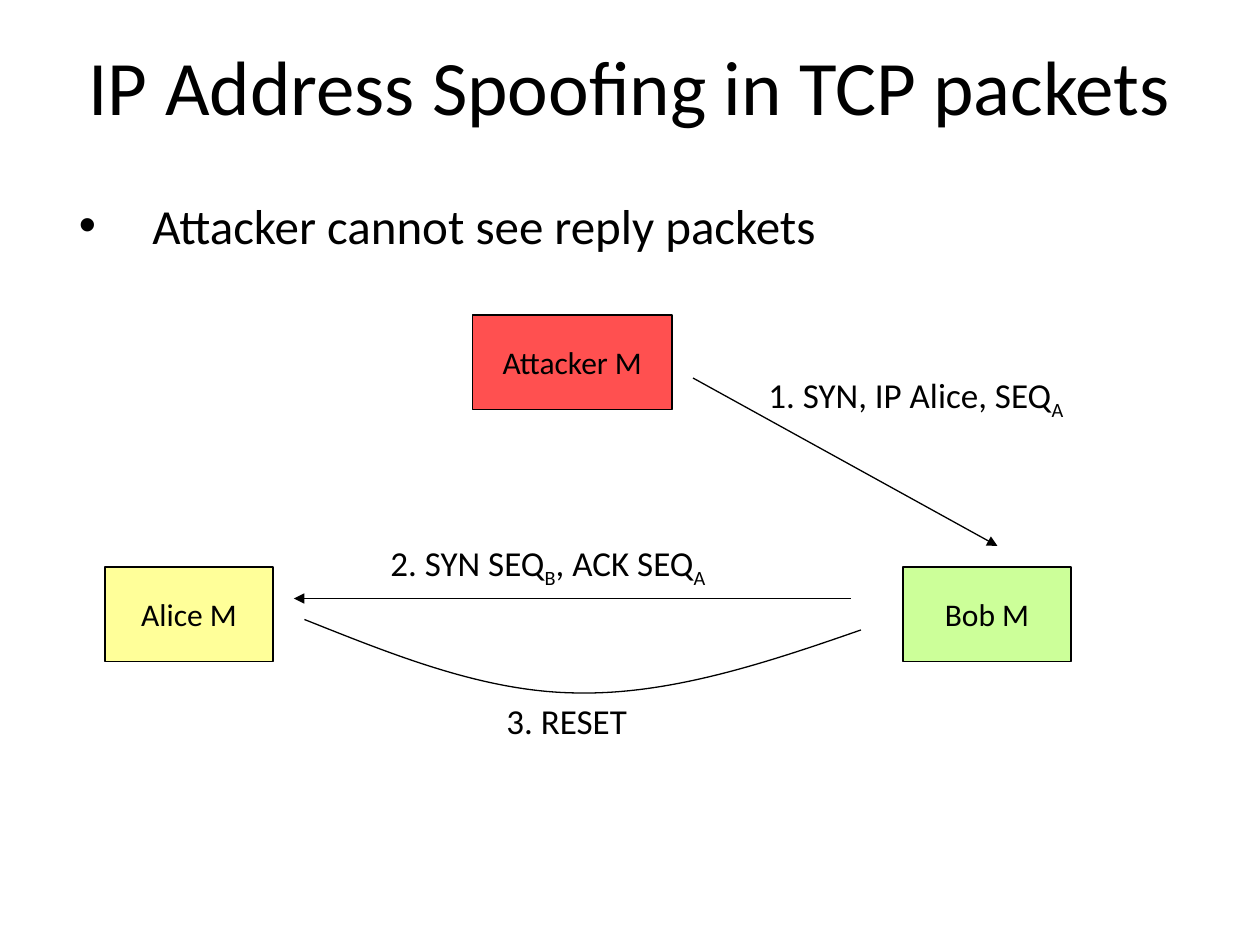
"""Build a slide on IP address spoofing in TCP packets."""
from lxml.etree import SubElement
from pptx import Presentation
from pptx.dml.color import RGBColor
from pptx.enum.shapes import MSO_CONNECTOR, MSO_SHAPE
from pptx.enum.text import MSO_ANCHOR, PP_ALIGN
from pptx.oxml.ns import qn
from pptx.util import Pt

COLORS = {"ink": "000000", "alice": "FFFF99", "bob": "CCFF99", "attacker": "FF5050"}


def add_span(para, text, size, subscript=False):
    span = para.add_run()
    span.text = text
    span.font.name = "Calibri"
    span.font.size = Pt(size)
    span.font.color.rgb = RGBColor.from_string(COLORS["ink"])
    if subscript:
        span._r.get_or_add_rPr().set("baseline", "-25000")


def style_line(line):
    line.color.rgb = RGBColor.from_string(COLORS["ink"])
    line.width = Pt(0.75)


deck = Presentation()
deck.slide_width, deck.slide_height = Pt(720), Pt(540)
page = deck.slides.add_slide(deck.slide_layouts[6])
shapes = page.shapes

title = shapes.add_textbox(Pt(30), Pt(3.6), Pt(660), Pt(90)).text_frame
title.word_wrap = True
title.vertical_anchor = MSO_ANCHOR.MIDDLE
title.margin_left = title.margin_right = title.margin_top = title.margin_bottom = 0
title.paragraphs[0].alignment = PP_ALIGN.CENTER
add_span(title.paragraphs[0], "IP Address Spoofing in TCP packets", 44)

body = shapes.add_textbox(Pt(30), Pt(108), Pt(654), Pt(408)).text_frame
body.word_wrap = True
para = body.paragraphs[0]
properties = para._p.get_or_add_pPr()
properties.set("marL", str(Pt(50)))
properties.set("indent", str(-Pt(42)))
SubElement(properties, qn("a:buFont")).set("typeface", "Arial")
SubElement(properties, qn("a:buChar")).set("char", "•")
add_span(para, "Attacker cannot see reply packets", 28)

hosts = [
    ("Alice M", "alice", 60, 324, 96),
    ("Bob M", "bob", 516, 324, 96),
    ("Attacker M", "attacker", 270, 180, 114),
]
for name, color, left, top, width in hosts:
    box = shapes.add_shape(MSO_SHAPE.RECTANGLE, Pt(left), Pt(top), Pt(width), Pt(54))
    box.shadow.inherit = False
    box.fill.solid()
    box.fill.fore_color.rgb = RGBColor.from_string(COLORS[color])
    style_line(box.line)
    box.text_frame.vertical_anchor = MSO_ANCHOR.MIDDLE
    para = box.text_frame.paragraphs[0]
    para.alignment = PP_ALIGN.CENTER
    add_span(para, name, 18)

for ends in [(396, 216, 570, 312), (486, 342, 168, 342)]:
    arrow = shapes.add_connector(MSO_CONNECTOR.STRAIGHT, *[Pt(value) for value in ends])
    style_line(arrow.line)
    SubElement(arrow.line._get_or_add_ln(), qn("a:tailEnd")).set("type", "triangle")
    SubElement(arrow._element.spPr, qn("a:effectLst"))

curve_points = [(225.5, 374.5), (277, 395.5), (330, 396), (383, 397), (437.5, 379), (492, 360)]
builder = shapes.build_freeform(Pt(174), Pt(354))
builder.add_line_segments([(Pt(x), Pt(y)) for x, y in curve_points], close=False)
reset_curve = builder.convert_to_shape()
reset_curve.shadow.inherit = False
reset_curve.fill.background()
style_line(reset_curve.line)
outline = next(reset_curve._element.spPr.iter(qn("a:path")))
segments = outline.findall(qn("a:lnTo"))
for start in range(0, len(segments), 3):
    bezier = SubElement(outline, qn("a:cubicBezTo"))
    for segment in segments[start:start + 3]:
        bezier.append(segment[0])
        outline.remove(segment)

messages = [
    (432, 210, 208, [("1. SYN, IP Alice, SEQ", False), ("A", True)]),
    (216, 306, 235.5, [("2. SYN SEQ", False), ("B", True), (", ACK SEQ", False), ("A", True)]),
    (282.25, 396, 96, [("3. RESET", False)]),
]
for left, top, width, pieces in messages:
    label = shapes.add_textbox(Pt(left), Pt(top), Pt(width), Pt(31)).text_frame
    label.word_wrap = True
    for text, subscript in pieces:
        add_span(label.paragraphs[0], text, 20, subscript)

deck.save("out.pptx")
